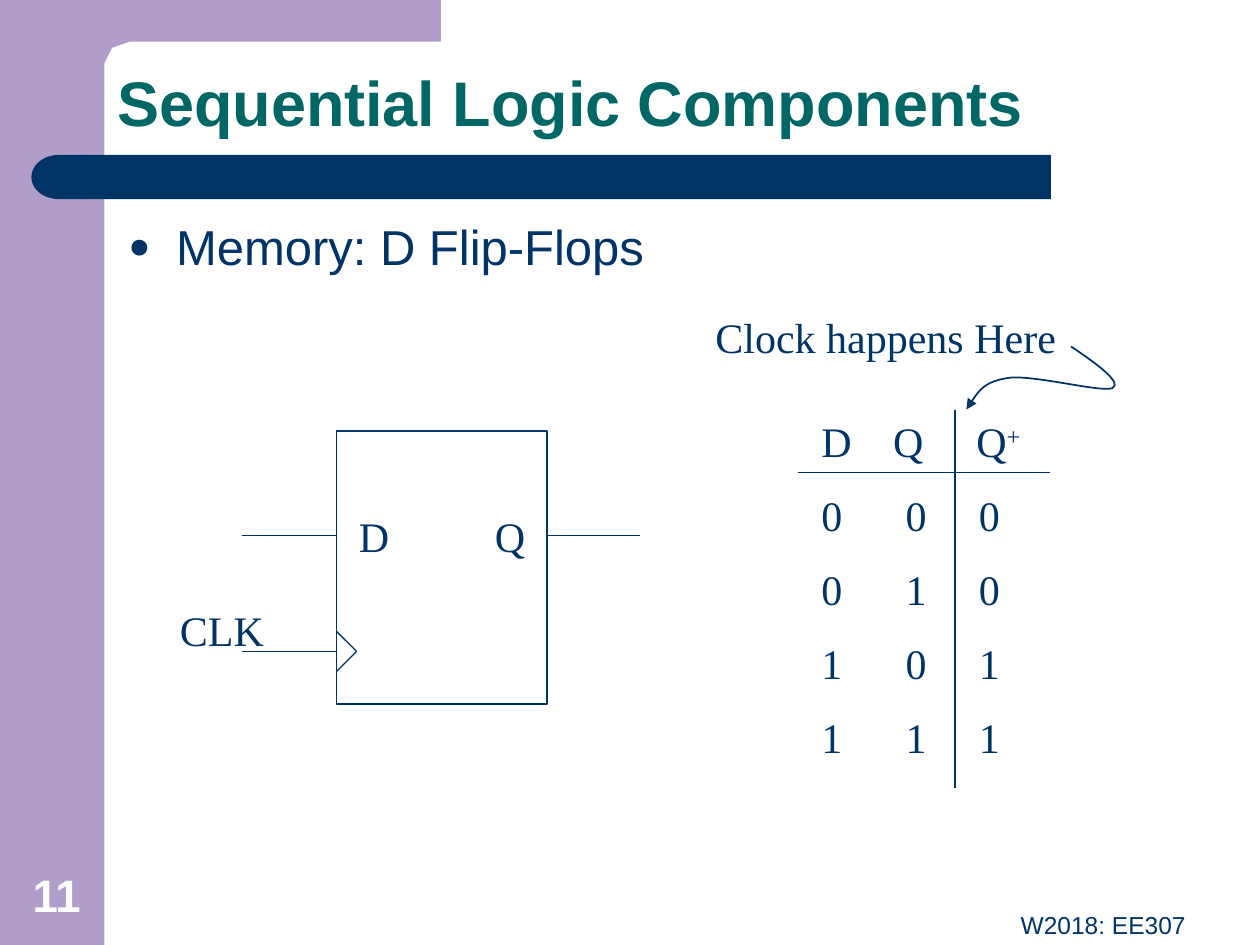
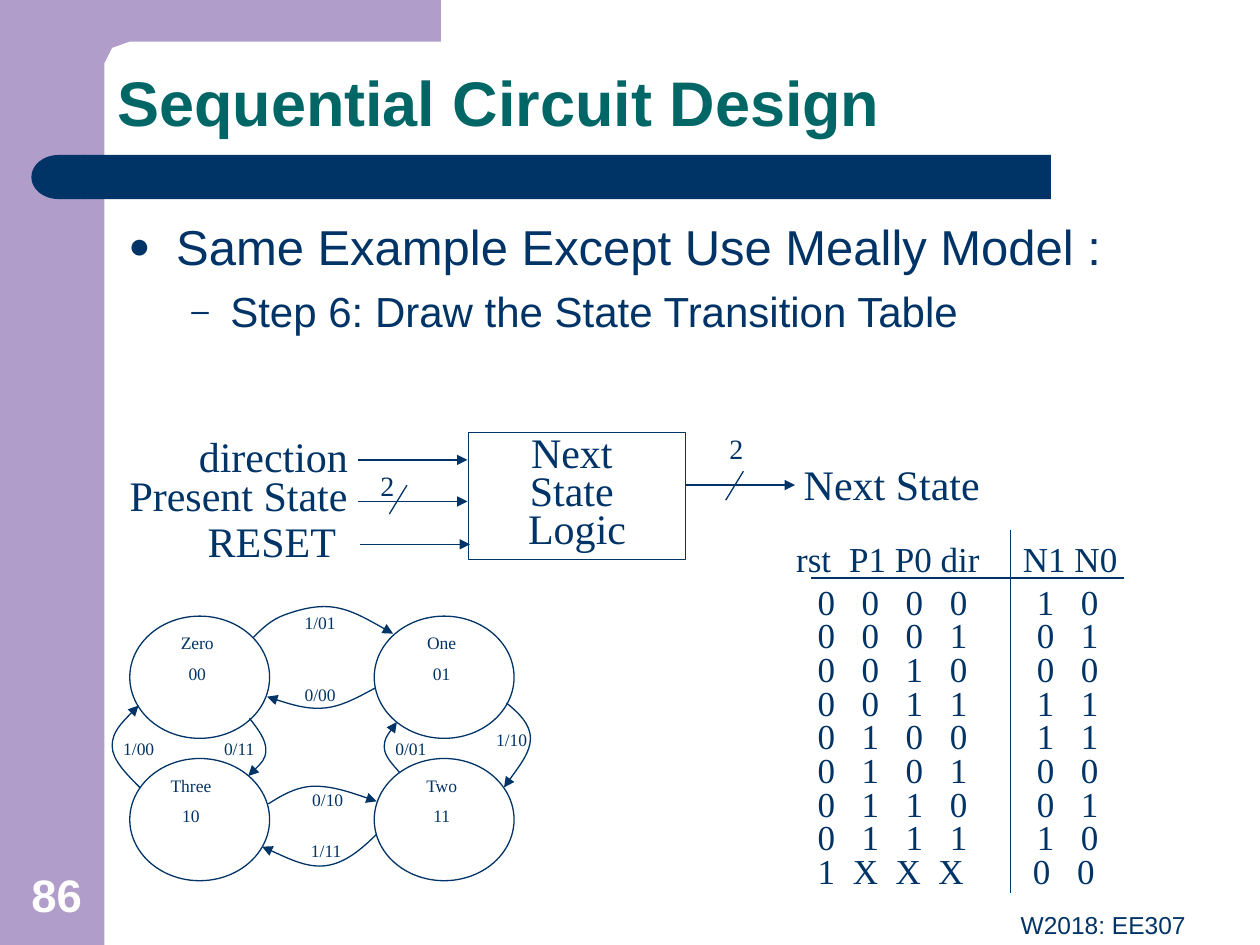
import itertools
import lxml.etree as etree
import pptx
import pptx.dml.color
import pptx.enum.shapes
import pptx.enum.text
import pptx.oxml.ns
import pptx.util

PX = 9144  # 100 px to the inch
INK = {"navy": "003366", "teal": "006666", "lilac": "B09DC9", "white": "FFFFFF"}
SANS, SERIF = "Arial", "Times New Roman"
KIND = pptx.enum.shapes.MSO_SHAPE
ALIGN = pptx.enum.text.PP_ALIGN
ANCHOR = pptx.enum.text.MSO_ANCHOR
qn = pptx.oxml.ns.qn

FOOTER = "W2018: EE307"
CORNER = [(350, 0), (350, 33), (103, 33), (89, 38), (83, 50), (50, 50), (50, 0)]
# sign, text size, left margin, hang
BULLETS = [("●", 28, 38, 38), ("–", 24, 81, 31)]
HIGH = {24: 50, 20: 43, 16: 37, 10: 27}  # label height by text size

FLOP = {
    "title": "Sequential Logic Components",
    "number": "11",
    "points": ["Memory: D Flip-Flops"],
    "box": (267, 342, 167, 217),
    "stubs": [(192, 425), (433, 425), (192, 517)],
    "stub": 75,
    "notch": (283, 517),
    "labels": [("CLK", 133, 475, 100), ("Clock happens Here", 558, 242, 325)],
    "pins": ("D\tQ", 275, 400, 158),
    "pin stop": 108,
    "clock": [(850, 275), (883, 308), (800, 300), (767, 325)],
    "head": "D\tQ\tQ",
    "place": (642, 325, 283, 290),
    "stops": ([57, 123], [67, 125]),
    "rules": [(633, 375, 833, 375), (758, 325, 758, 625)],
}

STATE = {
    "title": "Sequential Circuit Design",
    "number": "86",
    "points": ["Same Example Except Use Meally Model :",
               "Step 6: Draw the State Transition Table"],
    "logic": ["Next ", "State ", "Logic"],
    "box": (372, 343, 172, 101),
    "arrows": [(284, 365), (284, 398), (544, 385), (286, 432)],
    "reach": 87,
    "ticks": [(590, 374), (323, 385)],
    "labels": [("Present State", 93, 368, 248), ("direction", 148, 337, 173),
               ("Next State", 628, 359, 185), ("RESET", 155, 404, 168)],
    "widths": [("2", 569, 338, 30), ("2", 292, 367, 30)],
    # name, code, text width; laid out row by row
    "nodes": [("Zero", "00", 49), ("One", "01", 49),
              ("Three", "10", 59), ("Two", "11", 49)],
    "grid": (103, 489, 194, 113),
    "node": (111, 97),
    # label and its place, then the points the arrow runs through
    "moves": [
        ("1/01", 232, 481, [(201, 506), (226, 488), (265, 482), (312, 503)]),
        ("1/10", 384, 574, [(402, 558), (421, 586), (400, 625)]),
        ("1/11", 237, 662, [(299, 662), (259, 687), (208, 672)]),
        ("1/00", 88, 581, [(111, 625), (89, 592), (110, 560)]),
        ("0/00", 232, 538, [(298, 546), (257, 562), (212, 553)]),
        ("0/01", 304, 581, [(317, 613), (305, 593), (315, 573)]),
        ("0/10", 238, 621, [(213, 638), (250, 624), (299, 636)]),
        ("0/11", 168, 581, [(198, 570), (211, 595), (197, 616)]),
    ],
    "move": 60,
    "head": ("rst\tP1 P0 dir\tN1 N0", 622, 422, 308),
    "head stops": [42, 180],
    "next": "10 01 00 11 11 00 01 10".split(),
    "reset": "1XXX00",
    "place": (639, 462, 314, 251),
    "stops": ([35, 70, 105, 174, 209], [28, 62, 96, 171, 206]),
    "rules": [(644, 459, 892, 459), (802, 421, 802, 709)],
}


def scale(box):
    return [round(n * PX) for n in box]


def hue(name):
    return pptx.dml.color.RGBColor.from_string(INK[name])


def tag(parent, name, **attrs):
    return etree.SubElement(parent, qn(name), attrs)


def paint(shape, fill=None, line=None):
    """Fill a shape by colour name, or outline it with a width in points."""
    shape.shadow.inherit = False
    if fill:
        shape.fill.solid()
        shape.fill.fore_color.rgb = hue(fill)
    else:
        shape.fill.background()
    if line:
        shape.line.color.rgb = hue("navy")
        shape.line.width = pptx.util.Pt(line)
    else:
        shape.line.fill.background()
    return shape


def block(slide, kind, box, fill=None, line=None):
    return paint(slide.shapes.add_shape(kind, *scale(box)), fill, line)


def arrow(shape):
    tag(shape.line._get_or_add_ln(), "a:tailEnd", type="triangle")


def wire(slide, ends, width=0.75):
    line = slide.shapes.add_connector(
        pptx.enum.shapes.MSO_CONNECTOR.STRAIGHT, *scale(ends))
    line.line.color.rgb = hue("navy")
    line.line.width = pptx.util.Pt(width)
    tag(line._element.spPr, "a:effectLst")
    return line


def trace(slide, points, close):
    form = slide.shapes.build_freeform(*points[0], scale=PX)
    form.add_line_segments(points[1:], close=close)
    return form.convert_to_shape()


def blend(a, b):
    return (a[0] + b[0]) / 2, (a[1] + b[1]) / 2


def bend(knots):
    """Give the start, then two handles and an end for each smooth arc."""
    path = [knots[0]]
    for back, knot, ahead in zip(knots, knots[1:], knots[2:]):
        dx, dy = [(b - a) / 6 for a, b in zip(back, ahead)]
        inward = (knot[0] - dx, knot[1] - dy)
        if len(path) == 1:
            path.append(blend(path[0], inward))
        path += [inward, knot, (knot[0] + dx, knot[1] + dy)]
    return path + [blend(path[-1], knots[-1]), knots[-1]]


def curve(slide, knots, width=0.75):
    shape = trace(slide, bend(knots), False)
    legs = list(shape._element.iter(qn("a:lnTo")))
    route = legs[0].getparent()
    for i in range(0, len(legs), 3):
        arc = tag(route, "a:cubicBezTo")
        for leg in legs[i:i + 3]:
            arc.append(leg[0])
            route.remove(leg)
    arrow(paint(shape, line=width))


def style(par, size, face=SERIF, color="navy", bold=False):
    font = par.font
    font.size, font.name, font.bold = pptx.util.Pt(size), face, bold
    font.color.rgb = hue(color)


def write(frame, lines, size, face=SERIF, color="navy", bold=False,
          align=ALIGN.LEFT, anchor=ANCHOR.TOP, gap=0, pitch=None, stops=()):
    """Put one paragraph per line; stops holds a list of tab places per line."""
    frame.word_wrap = True
    frame.auto_size = pptx.enum.text.MSO_AUTO_SIZE.NONE
    frame.vertical_anchor = anchor
    for i, line in enumerate(lines):
        par = frame.add_paragraph() if i else frame.paragraphs[0]
        par.add_run().text = line
        if stops:
            tabs = tag(par._p.get_or_add_pPr(), "a:tabLst")
            for stop in stops[i]:
                tag(tabs, "a:tab", pos=str(stop * PX), algn="l")
        par.alignment = align
        if pitch:
            par.line_spacing = pitch
        if i and gap:
            par.space_before = pptx.util.Pt(gap)
        style(par, size, face, color, bold)
    return frame


def panel(slide, lines, box, size, **look):
    frame = slide.shapes.add_textbox(*scale(box)).text_frame
    return write(frame, lines, size, **look)


def label(slide, words, left, top, width, size=24, **look):
    panel(slide, [words], (left, top, width, HIGH[size]), size, **look)


def outline(slide, points):
    """Write the body text, one bullet level deeper on each line."""
    frame = panel(slide, points, (92, 167, 841, 499), 28)
    for i, (par, (sign, size, left, hang)) in enumerate(
            zip(frame.paragraphs, BULLETS)):
        props = par._p.get_or_add_pPr()
        props.remove(props.find(qn("a:defRPr")))
        props.set("marL", str(left * PX))
        props.set("indent", str(-hang * PX))
        tag(tag(props, "a:buClr"), "a:srgbClr", val=INK["navy"])
        tag(props, "a:buSzPct", val="75000")
        tag(props, "a:buFont", typeface=SANS)
        tag(props, "a:buChar", char=sign)
        if i:
            par.space_before = pptx.util.Pt(5.5)
        style(par, size, SANS)


def start(deck, data):
    """Add a slide with the shared bands, title, body, number and footer."""
    slide = deck.slides.add_slide(deck.slide_layouts[5])
    block(slide, KIND.RECTANGLE, (0, 0, 83, 750), "lilac")
    paint(trace(slide, CORNER, True), "lilac")
    block(slide, KIND.RECTANGLE, (67, 123, 767, 35), "navy")
    cap = block(slide, KIND.FLOWCHART_DELAY, (25, 123, 43, 35), "navy")
    cap._element.spPr.xfrm.set("flipH", "1")
    title = slide.shapes.title
    title.left, title.top, title.width, title.height = scale((83, 33, 867, 83))
    write(title.text_frame, [data["title"]], 36, face=SANS, color="teal",
          bold=True, anchor=ANCHOR.BOTTOM, pitch=0.9)
    outline(slide, data["points"])
    panel(slide, [data["number"]], (0, 683, 90, 53), 26, face=SANS,
          color="white", bold=True, align=ALIGN.CENTER, anchor=ANCHOR.BOTTOM)
    panel(slide, [FOOTER], (342, 717, 609, 52), 14, face=SANS,
          align=ALIGN.RIGHT)
    for item in data["labels"]:
        label(slide, *item)
    return slide


def draw_flop(deck):
    slide = start(deck, FLOP)
    left, top, width, height = FLOP["box"]
    block(slide, KIND.RECTANGLE, FLOP["box"], line=1)
    for x, y in FLOP["stubs"]:
        wire(slide, (x, y, x + FLOP["stub"], y))
    x, y = FLOP["notch"]
    for side in (-1, 1):
        wire(slide, (left, y + side * (x - left), x, y))
    for ends in FLOP["rules"]:
        wire(slide, ends)
    label(slide, *FLOP["pins"], stops=[[FLOP["pin stop"]]])
    rows = ["\t".join((d, q, d)) for d, q in itertools.product("01", repeat=2)]
    head, rest = FLOP["stops"]
    frame = panel(slide, [FLOP["head"]] + rows, FLOP["place"], 24, gap=13.5,
                  stops=[head] + [rest] * len(rows))
    plus = frame.paragraphs[0].add_run()
    plus.text = "+"
    plus._r.get_or_add_rPr().set("baseline", "30000")
    curve(slide, FLOP["clock"], 1)


def draw_state(deck):
    slide = start(deck, STATE)
    left, top, across, down = STATE["grid"]
    wide, high = STATE["node"]
    for i, (name, code, width) in enumerate(STATE["nodes"]):
        x, y = left + i % 2 * across, top + i // 2 * down
        block(slide, KIND.OVAL, (x, y, wide, high), line=0.75)
        inset = 78 - width  # text boxes share one right edge
        panel(slide, [name, code], (x + inset, y + 8, width, 52), 10,
              align=ALIGN.CENTER, gap=5.5)
    for words, x, y, knots in STATE["moves"]:
        curve(slide, knots)
        label(slide, words, x, y, STATE["move"], 10)
    logic = block(slide, KIND.RECTANGLE, STATE["box"], line=0.75)
    write(logic.text_frame, STATE["logic"], 24, align=ALIGN.CENTER, pitch=0.75)
    for x, y in STATE["arrows"]:
        arrow(wire(slide, (x, y, x + STATE["reach"], y)))
    for x, y in STATE["ticks"]:
        wire(slide, (x, y, x - 14, y + 23))
    for item in STATE["widths"]:
        label(slide, *item, size=16)
    label(slide, *STATE["head"], size=20, stops=[STATE["head stops"]])
    inputs = itertools.product("0", "01", "01", "01")
    rows = ["\t".join(now + tuple(then))
            for now, then in zip(inputs, STATE["next"])]
    usual, last = STATE["stops"]
    panel(slide, rows + ["\t".join(STATE["reset"])], STATE["place"], 20,
          pitch=0.8, stops=[usual] * len(rows) + [last])
    for ends in STATE["rules"]:
        wire(slide, ends, 1)


def main():
    deck = pptx.Presentation()
    deck.slide_width, deck.slide_height = scale((1000, 750))
    draw_flop(deck)
    draw_state(deck)
    deck.save("out.pptx")


if __name__ == "__main__":
    main()
